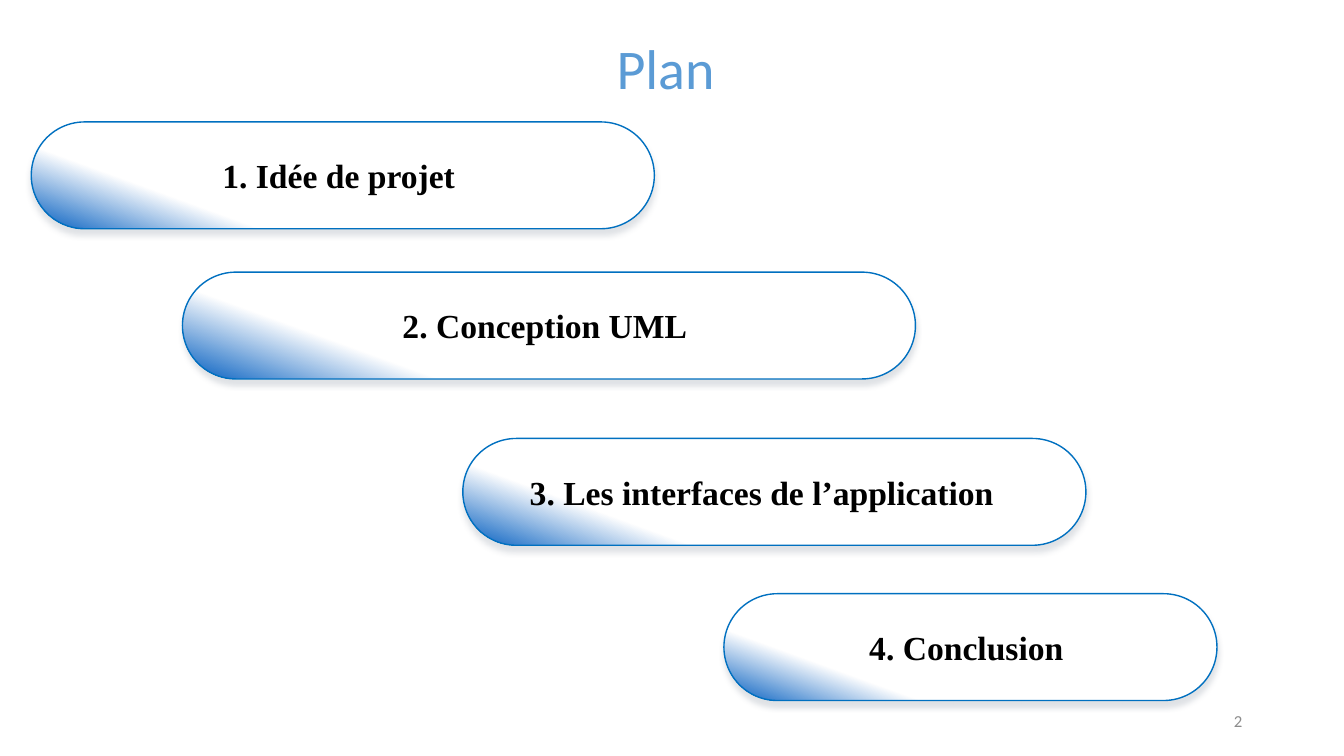
from dataclasses import dataclass

from lxml.etree import SubElement
from pptx import Presentation
from pptx.dml.color import RGBColor
from pptx.enum.shapes import MSO_SHAPE
from pptx.enum.text import MSO_ANCHOR, PP_ALIGN
from pptx.oxml.ns import qn
from pptx.util import Inches, Pt


@dataclass(frozen=True)
class Theme:
    title_color: str = "5B9BD5"
    step_color: str = "000000"
    number_color: str = "8C8C8C"
    outline: str = "0070C0"
    fill_light: str = "FFFFFF"
    fill_dark: str = "005CBF"
    shadow: str = "44546A"
    body_font: str = "Calibri"
    step_font: str = "Times New Roman"
    title_size: int = 40
    step_size: int = 24
    number_size: int = 12


THEME = Theme()
STEP_HEIGHT = 1.06
# Label, left, top, width, right inset
STEPS = [
    ("1. Idée de projet", 0.31, 1.21, 6.18, 0.18),
    ("2. Conception UML", 1.81, 2.7, 7.27, 0.18),
    ("3. Les interfaces de l’application", 4.59, 4.35, 6.18, 0.35),
    ("4. Conclusion", 7.18, 5.89, 4.89, 0.18),
]


def write(shape, text, font, size, color, align, anchor, bold=False):
    frame = shape.text_frame
    frame.word_wrap = True
    frame.vertical_anchor = anchor
    frame.text = text
    para = frame.paragraphs[0]
    para.alignment = align
    span = para.runs[0]
    span.font.name = font
    span.font.size = Pt(size)
    span.font.bold = bold
    span.font.color.rgb = RGBColor.from_string(color)


def add_soft_shadow(shape):
    shape.shadow.inherit = False
    effects = shape._element.spPr.find(qn("a:effectLst"))
    shadow = SubElement(effects, qn("a:outerShdw"), blurRad=str(Pt(4)),
                        dist=str(Pt(4)), dir="5400000", rotWithShape="0")
    color = SubElement(shadow, qn("a:srgbClr"), val=THEME.shadow)
    SubElement(color, qn("a:alpha"), val="16000")


def add_title(page, left, top, width, height):
    box = page.shapes.add_textbox(left, top, width, height)
    # The wide left inset sets the title right of the box centre
    box.text_frame.margin_left = Inches(1.1)
    write(box, "Plan", THEME.body_font, THEME.title_size, THEME.title_color,
          PP_ALIGN.CENTER, MSO_ANCHOR.BOTTOM)


def add_step(page, label, left, top, width, height, right_inset):
    pill = page.shapes.add_shape(MSO_SHAPE.ROUNDED_RECTANGLE, left, top, width, height)
    pill.adjustments[0] = 0.5
    # White pill shading to blue at the lower left
    pill.fill.gradient()
    pill.fill.gradient_angle = 250
    shades = [(0.75, THEME.fill_light), (1, THEME.fill_dark)]
    for stop, (position, color) in zip(pill.fill.gradient_stops, shades):
        stop.position = position
        stop.color.rgb = RGBColor.from_string(color)
    pill.line.color.rgb = RGBColor.from_string(THEME.outline)
    pill.line.width = Pt(1)
    add_soft_shadow(pill)
    pill.text_frame.margin_right = right_inset
    write(pill, label, THEME.step_font, THEME.step_size, THEME.step_color,
          PP_ALIGN.CENTER, MSO_ANCHOR.MIDDLE, bold=True)


def add_page_number(page, left, top, width, height):
    box = page.shapes.add_textbox(left, top, width, height)
    write(box, "2", THEME.body_font, THEME.number_size, THEME.number_color,
          PP_ALIGN.RIGHT, MSO_ANCHOR.MIDDLE)


def main():
    deck = Presentation()
    deck.slide_width, deck.slide_height = Inches(13.33), Inches(7.5)
    page = deck.slides.add_slide(deck.slide_layouts[6])
    add_title(page, Inches(4.52), Inches(0.28), Inches(3.16), Inches(0.77))
    for label, left, top, width, right_inset in STEPS:
        add_step(page, label, Inches(left), Inches(top), Inches(width),
                 Inches(STEP_HEIGHT), Inches(right_inset))
    add_page_number(page, Inches(9.42), Inches(6.95), Inches(3), Inches(0.4))
    deck.save("out.pptx")


if __name__ == "__main__":
    main()
